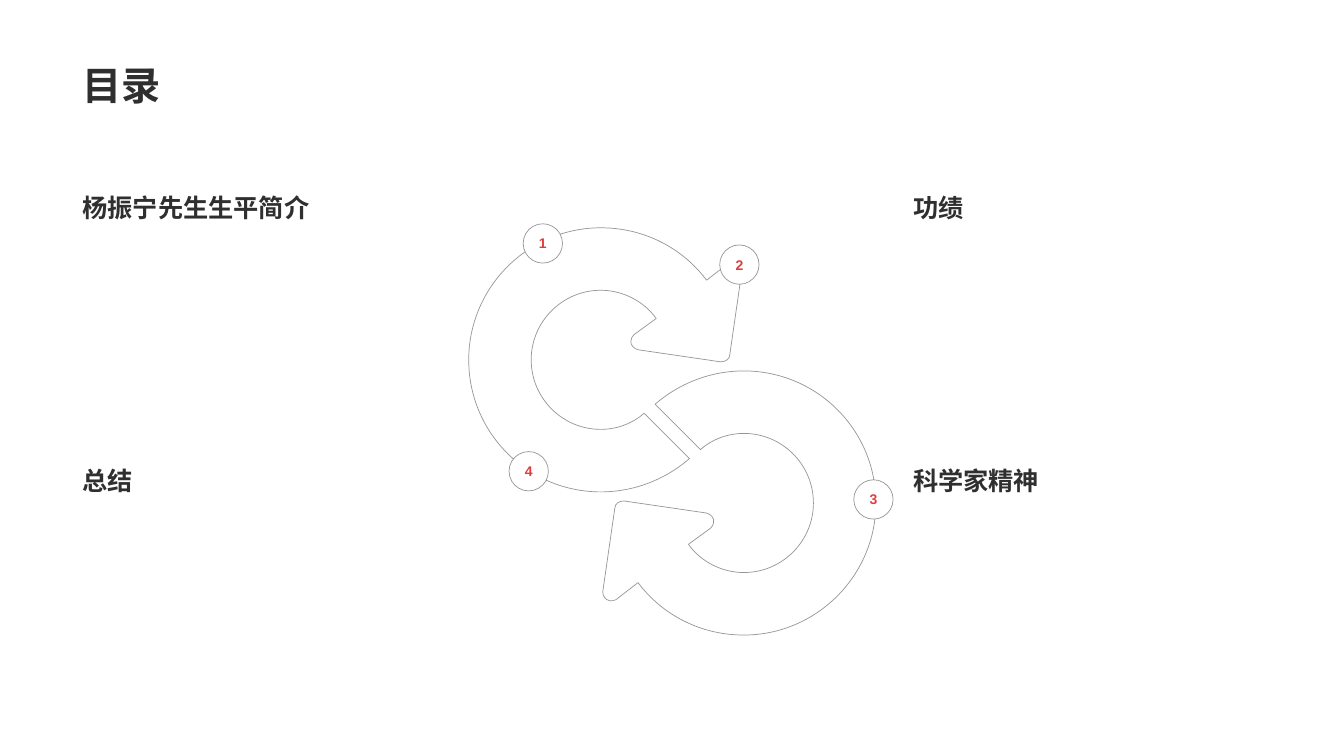
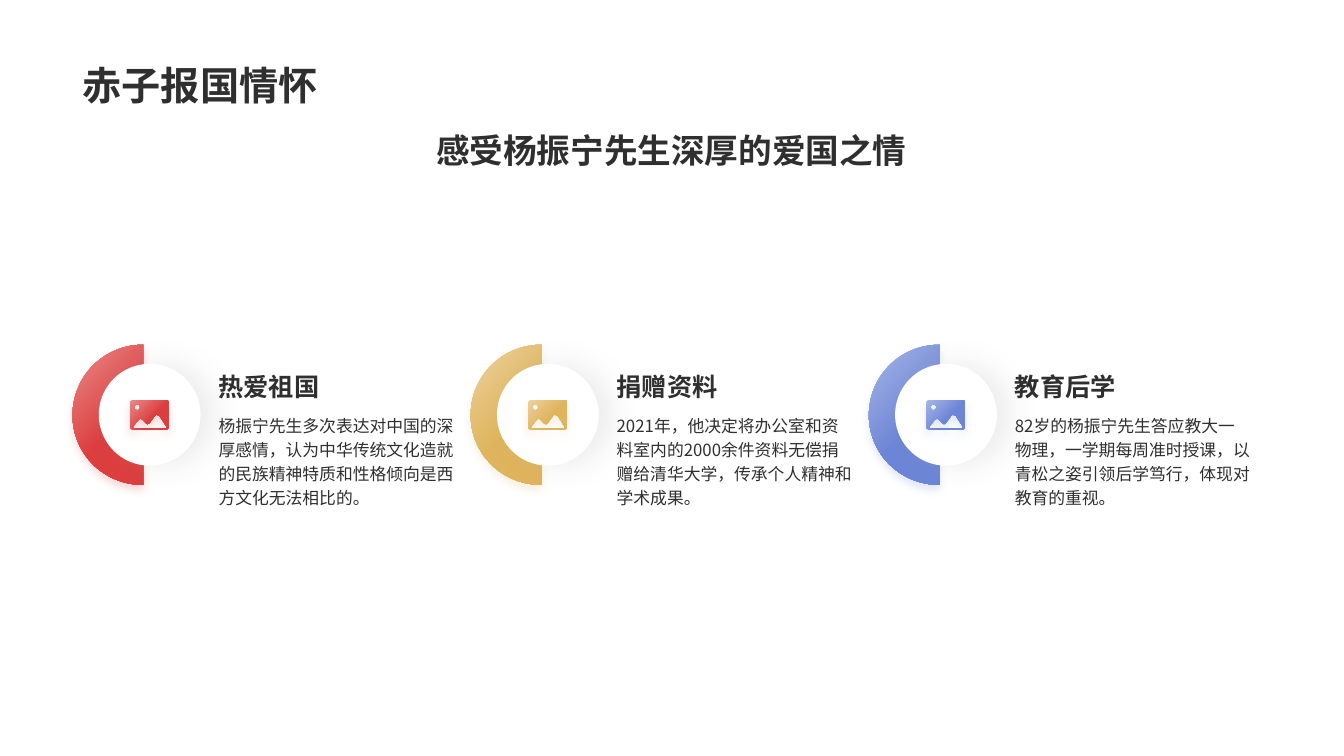
from lxml.etree import Element, SubElement
from pptx import Presentation
from pptx.dml.color import RGBColor
from pptx.enum.shapes import MSO_SHAPE
from pptx.enum.text import MSO_ANCHOR, PP_ALIGN
from pptx.oxml.ns import qn
from pptx.util import Inches, Pt

# Shared style
COLORS = {"ink": "2F2F2F", "accent": "DC3E3E", "white": "FFFFFF", "gray": "A6A6A6"}
LATIN, CJK = "Arial", "Noto Sans CJK SC"
LINE_HEIGHT = 1.19
MARGIN, CONTENT_W = 0.72, 11.88
TITLE_BOX = (MARGIN, 0.15, CONTENT_W, 0.98)

# Agenda content: number, heading, heading position, badge position
AGENDA_TITLE = "目录"
AGENDA = [
    ("1", "杨振宁先生生平简介", (MARGIN, 1.81), (5.19, 2.22)),
    ("2", "功绩", (8.96, 1.81), (7.14, 2.43)),
    ("3", "科学家精神", (8.96, 4.52), (8.47, 4.76)),
    ("4", "总结", (MARGIN, 4.52), (5.05, 4.48)),
]
BADGE = 0.39

# Devotion content: heading, body, body font, light and dark colour
DEVOTION_TITLE = "赤子报国情怀"
DEVOTION_SUBTITLE = "感受杨振宁先生深厚的爱国之情"
DEVOTION = [
    ("热爱祖国", "杨振宁先生多次表达对中国的深厚感情，认为中华传统文化造就的民族精神特质和性格倾向是西方文化无法相比的。",
     LATIN, "EA8B8B", "DC3E3E"),
    ("捐赠资料", "2021年，他决定将办公室和资料室内的2000余件资料无偿捐赠给清华大学，传承个人精神和学术成果。",
     CJK, "ECD29D", "DFB45C"),
    ("教育后学", "82岁的杨振宁先生答应教大一物理，一学期每周准时授课，以青松之姿引领后学笃行，体现对教育的重视。",
     CJK, "A7B6E6", "6D85D6"),
]
COLUMN_STEP = 3.95

# Outlines: pairs are corners, sixes are Bezier curves
ARROW = [
    (5.96, 4.26), (6.12, 4.26, 6.28, 4.2, 6.39, 4.1), (6.84, 4.55),
    (6.61, 4.75, 6.3, 4.88, 5.96, 4.88), (5.24, 4.88, 4.65, 4.3, 4.65, 3.57),
    (4.65, 2.85, 5.24, 2.26, 5.96, 2.26), (6.39, 2.26, 6.77, 2.46, 7.01, 2.78),
    (7.23, 2.61), (7.25, 2.6, 7.27, 2.6, 7.29, 2.6),
    (7.34, 2.61, 7.36, 2.65, 7.36, 2.69), (7.24, 3.52),
    (7.24, 3.56, 7.2, 3.59, 7.15, 3.59), (6.33, 3.47),
    (6.29, 3.46, 6.25, 3.42, 6.26, 3.38), (6.26, 3.36, 6.27, 3.34, 6.29, 3.32),
    (6.51, 3.16), (6.39, 2.99, 6.18, 2.88, 5.96, 2.88),
    (5.58, 2.88, 5.27, 3.19, 5.27, 3.57), (5.27, 3.95, 5.58, 4.26, 5.96, 4.26),
]
ARROW_CENTER = (6.67, 4.28)
HALF_DISC = [
    (0.7, 0), (0.7, 1.39), (0.31, 1.39, 0, 1.08, 0, 0.7), (0, 0.31, 0.31, 0, 0.7, 0),
]
ICON_FRAME = [
    (0.36, 0), (0.38, 0, 0.38, 0.01, 0.38, 0.02), (0.38, 0.27),
    (0.38, 0.28, 0.38, 0.29, 0.36, 0.29), (0.03, 0.29),
    (0.01, 0.29, 0, 0.28, 0, 0.27), (0, 0.02), (0, 0.01, 0.01, 0, 0.03, 0),
]
ICON_HILLS = [
    (0.28, 0.15), (0.27, 0.14, 0.26, 0.14, 0.25, 0.15), (0.19, 0.23),
    (0.18, 0.24, 0.17, 0.24, 0.16, 0.23), (0.12, 0.19),
    (0.11, 0.18, 0.1, 0.18, 0.09, 0.19), (0.03, 0.26),
    (0.03, 0.27, 0.03, 0.28, 0.03, 0.28), (0.36, 0.28),
    (0.36, 0.28, 0.37, 0.27, 0.36, 0.26), (0.29, 0.15),
]
ICON_SUN = [
    (0.07, 0.04), (0.06, 0.04, 0.04, 0.06, 0.04, 0.07), (0.04, 0.09, 0.06, 0.1, 0.07, 0.1),
    (0.09, 0.1, 0.1, 0.09, 0.1, 0.07), (0.1, 0.06, 0.09, 0.04, 0.07, 0.04),
]


def rgb(value):
    return RGBColor.from_string(value)


def box(*lengths):
    return [Inches(v) for v in lengths]


def format_text(sp, text, size, color=COLORS["ink"], bold=True, font=LATIN,
                align=PP_ALIGN.LEFT, anchor=MSO_ANCHOR.TOP, spacing=1):
    tf = sp.text_frame
    tf.text = text
    tf.word_wrap = True
    tf.vertical_anchor = anchor
    p = tf.paragraphs[0]
    p.alignment = align
    p.line_spacing = Pt(round(size * LINE_HEIGHT * spacing, 1))
    r = p.runs[0]
    r.font.size, r.font.bold, r.font.name = Pt(size), bold, font
    r.font.color.rgb = rgb(color)
    SubElement(r.font._element, qn("a:ea"), typeface=CJK)
    return tf


def add_text(s, place, text, size, **style):
    return format_text(s.shapes.add_textbox(*box(*place)), text, size, **style)


def add_titled_slide(prs, title):
    s = prs.slides.add_slide(prs.slide_layouts[5])
    sp = s.shapes.title
    sp.left, sp.top, sp.width, sp.height = box(*TITLE_BOX)
    format_text(sp, title, 28, anchor=MSO_ANCHOR.BOTTOM)
    return s


def turn(outline, cx, cy):
    center = (2 * cx, 2 * cy) * 3
    return [tuple(c - v for c, v in zip(center, part)) for part in outline]


def add_outline(s, contours, left=0, top=0):
    pen = None
    for outline in contours:
        points = [(Inches(left + part[i]), Inches(top + part[i + 1]))
                  for part in outline for i in range(0, len(part), 2)]
        if pen is None:
            pen = s.shapes.build_freeform(*points[0])
        else:
            pen.move_to(*points[0])
        pen.add_line_segments(points[1:], close=True)
    sp = pen.convert_to_shape()
    sp.shadow.inherit = False
    # Join each three control points into one curve
    segments = iter(sp._element.xpath(".//a:path/a:lnTo"))
    for part in (part for outline in contours for part in outline[1:]):
        first = next(segments)
        if len(part) == 6:
            curve = Element(qn("a:cubicBezTo"))
            first.addprevious(curve)
            for segment in (first, next(segments), next(segments)):
                curve.append(segment[0])
                segment.getparent().remove(segment)
    return sp


def add_circle(s, left, top, size):
    sp = s.shapes.add_shape(MSO_SHAPE.OVAL, *box(left, top, size, size))
    sp.shadow.inherit = False
    sp.fill.solid()
    sp.fill.fore_color.rgb = rgb(COLORS["white"])
    return sp


def set_thin_line(sp):
    sp.line.width = Pt(0.5)
    sp.line.color.rgb = rgb(COLORS["ink"])
    color = sp._element.xpath(".//a:ln//a:srgbClr")[0]
    SubElement(color, qn("a:alpha"), val="50000")


def set_soft_shadow(sp, color, blur, distance, angle):
    sp.line.fill.background()
    effects = sp._element.spPr.find(qn("a:effectLst"))
    shadow = SubElement(effects, qn("a:outerShdw"), blurRad=str(Pt(blur)),
                        dist=str(Pt(distance)), dir=str(angle * 60000),
                        algn="ctr", rotWithShape="0")
    clr = SubElement(shadow, qn("a:srgbClr"), val=color)
    SubElement(clr, qn("a:alpha"), val="20000")


def set_gradient(sp, light, dark):
    sp.fill.gradient()
    sp.fill.gradient_angle = 315
    for stop, color, position in zip(sp.fill.gradient_stops, (light, dark), (0, 0.6)):
        stop.color.rgb = rgb(color)
        stop.position = position
    set_soft_shadow(sp, dark, 6, 4, 90)


def build_agenda(prs):
    s = add_titled_slide(prs, AGENDA_TITLE)
    # Two arrows, the second turned half a circle
    for outline in (ARROW, turn(ARROW, *ARROW_CENTER)):
        sp = add_outline(s, [outline])
        sp.fill.background()
        set_thin_line(sp)
    # Headings and numbered badges
    for number, heading, place, badge in AGENDA:
        add_text(s, (*place, 3.64, 0.43), heading, 18,
                 anchor=MSO_ANCHOR.MIDDLE, spacing=1.2)
        sp = add_circle(s, *badge, BADGE)
        set_thin_line(sp)
        tf = format_text(sp, number, 10, color=COLORS["accent"],
                         align=PP_ALIGN.CENTER, anchor=MSO_ANCHOR.MIDDLE)
        tf.word_wrap = False


def build_devotion(prs):
    s = add_titled_slide(prs, DEVOTION_TITLE)
    add_text(s, (MARGIN, 1.24, CONTENT_W, 0.57), DEVOTION_SUBTITLE, 24,
             align=PP_ALIGN.CENTER)
    for i, (heading, body, font, light, dark) in enumerate(DEVOTION):
        x = MARGIN + i * COLUMN_STEP
        # Half ring with icon
        set_gradient(add_outline(s, [HALF_DISC], x, 3.42), light, dark)
        set_soft_shadow(add_circle(s, x + 0.26, 3.61, 1.01), COLORS["gray"], 20, 10, 0)
        icon = add_outline(s, [ICON_FRAME, ICON_HILLS, ICON_SUN], x + 0.57, 3.97)
        set_gradient(icon, light, dark)
        # Heading above body
        add_text(s, (x + 1.35, 3.02, 2.54, 1.01), heading, 18, anchor=MSO_ANCHOR.BOTTOM)
        add_text(s, (x + 1.35, 4.04, 2.54, 1.93), body, 12,
                 bold=False, font=font, spacing=1.2)


def main():
    prs = Presentation()
    prs.slide_width, prs.slide_height = box(40 / 3, 7.5)
    build_agenda(prs)
    build_devotion(prs)
    prs.save("out.pptx")


if __name__ == "__main__":
    main()
